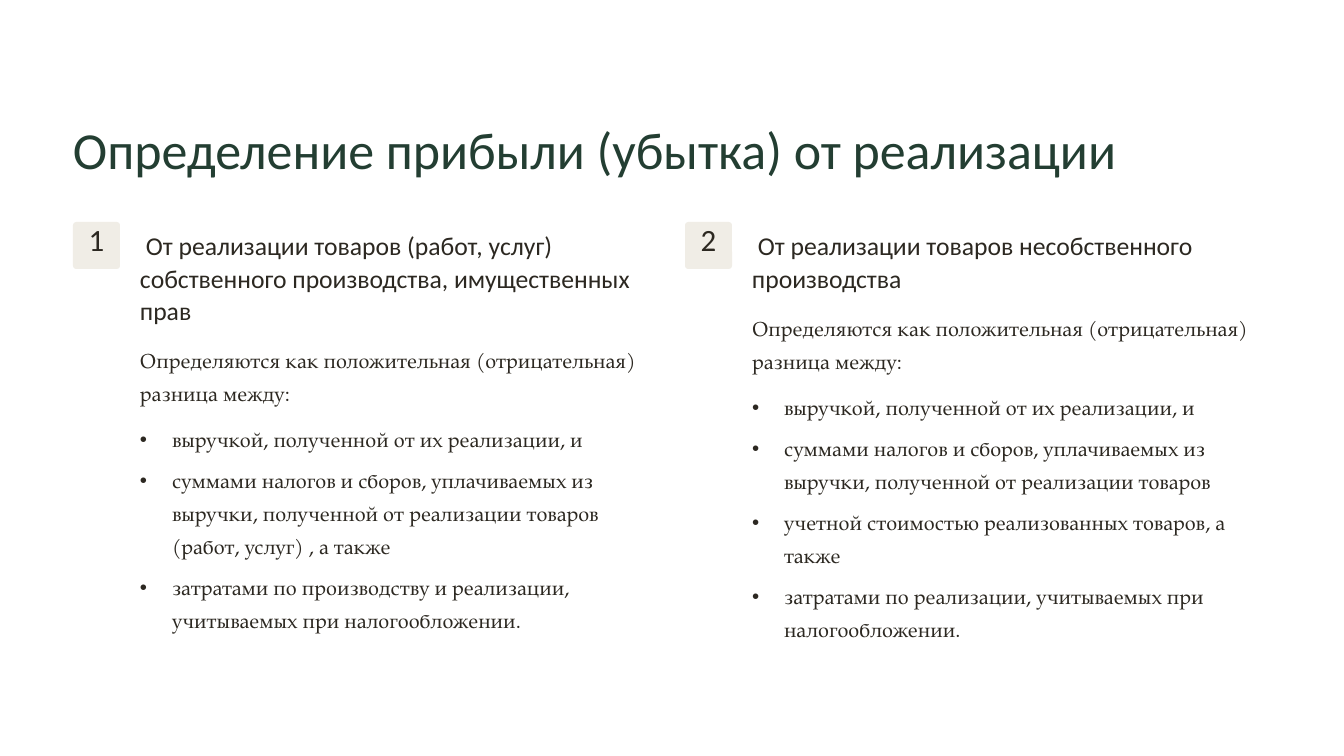
import pptx
import pptx.util
import pptx.dml.color
import pptx.enum.shapes
import pptx.enum.text
import lxml.etree

# Content
TITLE = "Определение прибыли (убытка) от реализации"
INTRO = "Определяются как положительная (отрицательная) разница между:"
COLUMNS = [
    {"number": "1", "heading_lines": 3,
     "heading": "От реализации товаров (работ, услуг) собственного производства, имущественных прав",
     "items": ["выручкой, полученной от их реализации, и",
               "суммами налогов и сборов, уплачиваемых из выручки, полученной от реализации товаров (работ, услуг) , а также",
               "затратами по производству и реализации, учитываемых при налогообложении."]},
    {"number": "2", "heading_lines": 2,
     "heading": "От реализации товаров несобственного производства",
     "items": ["выручкой, полученной от их реализации, и",
               "суммами налогов и сборов, уплачиваемых из выручки, полученной от реализации товаров",
               "учетной стоимостью реализованных товаров, а также",
               "затратами по реализации, учитываемых при налогообложении."]},
]

# Theme: font, size and line spacing in points, colour
THEME = {
    "title": {"name": "Calibri", "size": 44.5, "line": 55.5, "color": "233E32"},
    "number": {"name": "Calibri", "size": 26.5, "line": 26.5, "color": "2C2821"},
    "heading": {"name": "Calibri", "size": 22, "line": 27.5, "color": "2C2821"},
    "body": {"name": "TeX Gyre Pagella", "size": 17.5, "line": 28.5, "color": "2C2821"},
    "badge": "F0EDE6",
}
INTRO_GAP, ITEM_GAP = 11, 6.5

# Layout in px
PX = 914400 // 84
LEFT, COLUMN_STEP = 73, 612
TITLE_TOP, TITLE_W, TITLE_H = 115, 1154, 66
BADGE_TOP, BADGE, BADGE_INSET = 222, 47, 4
TEXT_OFFSET, TEXT_W = 67, 518
HEADING_TOP, HEADING_LINE, HEADING_GAP, HEADING_INDENT = 229, 32, 14, 6
BODY_BOTTOM, BULLET_INDENT = 641, 32

Pt = pptx.util.Pt
RGB = pptx.dml.color.RGBColor.from_string
ALIGN = pptx.enum.text.PP_ALIGN
FRAME = {"word_wrap": True, "auto_size": pptx.enum.text.MSO_AUTO_SIZE.NONE,
         "vertical_anchor": pptx.enum.text.MSO_ANCHOR.TOP,
         "margin_left": 0, "margin_right": 0, "margin_top": 0, "margin_bottom": 0}


def apply(obj, formats):
    for name, value in formats.items():
        setattr(obj, name, value)


def place(sp, x, y, w, h):
    apply(sp, {"left": x * PX, "top": y * PX, "width": w * PX, "height": h * PX})


def frame(sp, **changes):
    apply(sp.text_frame, {**FRAME, **changes})
    return sp.text_frame


def write(p, text, style, align=ALIGN.LEFT, before=0):
    look = THEME[style]
    apply(p, {"alignment": align, "line_spacing": Pt(look["line"]),
              "space_before": Pt(before), "space_after": Pt(0)})
    r = p.add_run()
    r.text = text
    apply(r.font, {"name": look["name"], "size": Pt(look["size"])})
    r.font.color.rgb = RGB(look["color"])


def indent(p, margin, first, bullet=None):
    pPr = p._p.get_or_add_pPr()
    pPr.set("marL", str(margin * PX))
    pPr.set("indent", str(first * PX))
    tag = "a:buChar" if bullet else "a:buNone"
    bu = lxml.etree.SubElement(pPr, pptx.oxml.ns.qn(tag))
    if bullet:
        bu.set("char", bullet)


def add_column(s, body, x, column):
    # Numbered badge
    sp = s.shapes.add_shape(pptx.enum.shapes.MSO_SHAPE.ROUNDED_RECTANGLE, 0, 0, 0, 0)
    place(sp, x, BADGE_TOP, BADGE, BADGE)
    sp.adjustments[0] = 0.07
    sp.shadow.inherit = False
    sp.fill.solid()
    sp.fill.fore_color.rgb = RGB(THEME["badge"])
    sp.line.fill.background()
    tf = frame(sp, margin_top=BADGE_INSET * PX)
    write(tf.paragraphs[0], column["number"], "number", ALIGN.CENTER)

    # Heading
    text_x = x + TEXT_OFFSET
    heading_h = column["heading_lines"] * HEADING_LINE
    sp = s.shapes.add_textbox(0, 0, 0, 0)
    place(sp, text_x, HEADING_TOP, TEXT_W, heading_h)
    p = frame(sp).paragraphs[0]
    indent(p, 0, HEADING_INDENT)
    write(p, column["heading"], "heading")

    # Introduction and bullets
    body_top = HEADING_TOP + heading_h + HEADING_GAP
    place(body, text_x, body_top, TEXT_W, BODY_BOTTOM - body_top)
    tf = frame(body)
    indent(tf.paragraphs[0], 0, 0)
    write(tf.paragraphs[0], INTRO, "body")
    for i, item in enumerate(column["items"]):
        p = tf.add_paragraph()
        indent(p, BULLET_INDENT, -BULLET_INDENT, "•")
        write(p, item, "body", before=ITEM_GAP if i else INTRO_GAP)


def main():
    prs = pptx.Presentation()
    apply(prs, {"slide_width": 1344 * PX, "slide_height": 756 * PX})
    s = prs.slides.add_slide(prs.slide_layouts[3])

    # Title
    place(s.shapes.title, LEFT, TITLE_TOP, TITLE_W, TITLE_H)
    tf = frame(s.shapes.title, word_wrap=False)
    write(tf.paragraphs[0], TITLE, "title")

    # Columns
    for i, column in enumerate(COLUMNS):
        add_column(s, s.placeholders[i + 1], LEFT + i * COLUMN_STEP, column)

    prs.save("out.pptx")


if __name__ == "__main__":
    main()
